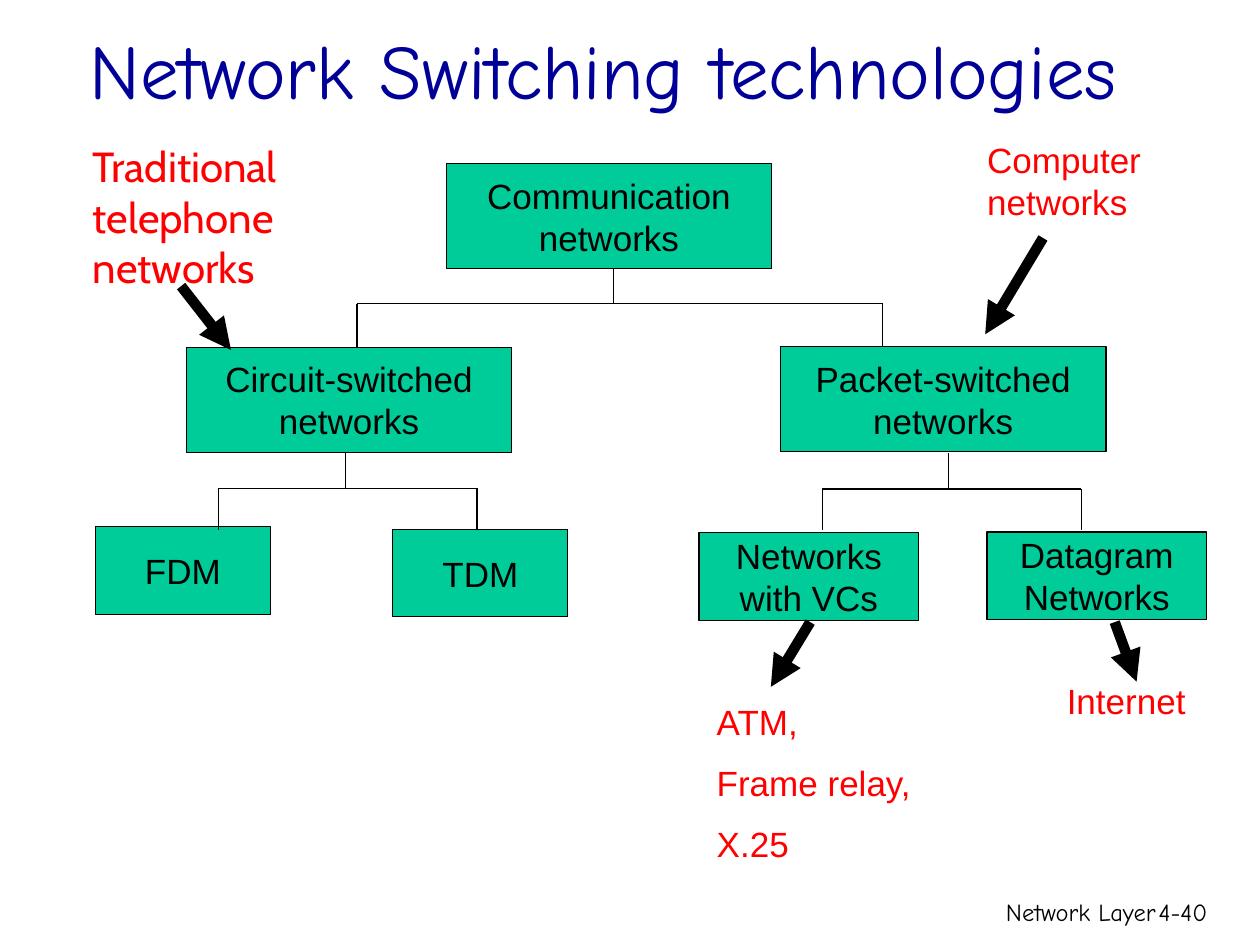
import pptx
import pptx.dml.color
import pptx.enum.shapes
import pptx.enum.text
import pptx.util
from lxml import etree
from pptx.oxml.ns import qn

Pt = pptx.util.Pt
RGBColor = pptx.dml.color.RGBColor
ALIGN = pptx.enum.text.PP_ALIGN
ANCHOR = pptx.enum.text.MSO_ANCHOR

BLACK = RGBColor(0x00, 0x00, 0x00)
NAVY = RGBColor(0x00, 0x00, 0x99)
RED = RGBColor(0xFF, 0x00, 0x00)
GREEN = RGBColor(0x00, 0xCC, 0x99)

BIG_BOX = (186, 60)
SMALL_BOX = (100, 50)
WIDE_BOX = (125.5, 50)


def write_lines(tf, lines, font, size, color, align=ALIGN.LEFT, gap=0):
    """Write one paragraph per line, with a gap between paragraphs."""
    for i, line in enumerate(lines):
        p = tf.paragraphs[0] if i == 0 else tf.add_paragraph()
        p.alignment = align
        if i and gap:
            p.space_before = Pt(gap)
        r = p.add_run()
        r.text = line
        r.font.name = font
        r.font.size = Pt(size)
        r.font.color.rgb = color


def add_text(s, x, y, w, h, lines, font="Arial", size=20, color=RED,
             align=ALIGN.LEFT, anchor=ANCHOR.TOP, gap=0):
    tf = s.shapes.add_textbox(Pt(x), Pt(y), Pt(w), Pt(h)).text_frame
    tf.word_wrap = True
    tf.vertical_anchor = anchor
    write_lines(tf, lines, font, size, color, align, gap)


def add_node(s, x, y, size, *lines):
    w, h = size
    sp = s.shapes.add_shape(pptx.enum.shapes.MSO_SHAPE.RECTANGLE,
                            Pt(x), Pt(y), Pt(w), Pt(h))
    sp.shadow.inherit = False
    sp.fill.solid()
    sp.fill.fore_color.rgb = GREEN
    sp.line.color.rgb = BLACK
    sp.line.width = Pt(0.75)
    tf = sp.text_frame
    tf.word_wrap = False
    tf.vertical_anchor = ANCHOR.MIDDLE
    write_lines(tf, lines, "Arial", 20, BLACK, ALIGN.CENTER)


def add_line(s, x1, y1, x2, y2, width=0.75):
    line = s.shapes.add_connector(pptx.enum.shapes.MSO_CONNECTOR.STRAIGHT,
                                  Pt(x1), Pt(y1), Pt(x2), Pt(y2))
    line.line.color.rgb = BLACK
    line.line.width = Pt(width)
    etree.SubElement(line._element.spPr, qn("a:effectLst"))
    return line


def add_arrow(s, x1, y1, x2, y2):
    line = add_line(s, x1, y1, x2, y2, width=6)
    etree.SubElement(line.line._get_or_add_ln(), qn("a:tailEnd"), type="triangle")


def add_branch(s, stem_x, top, bus_y, left, right, bottom):
    """Join a parent to two children: stem, crossbar and two legs."""
    add_line(s, stem_x, top, stem_x, bus_y)
    add_line(s, left, bus_y, right, bus_y)
    for x in (left, right):
        add_line(s, x, bus_y, x, bottom)


def main():
    prs = pptx.Presentation()
    prs.slide_width, prs.slide_height = Pt(720), Pt(540)
    s = prs.slides.add_slide(prs.slide_layouts[6])

    # Footer and title
    add_text(s, 439, 509, 228.5, 22, ["Network Layer"], "Comic Neue", 14, BLACK,
             ALIGN.RIGHT)
    add_text(s, 655, 509, 53.5, 22, ["4-40"], "Comic Neue", 14, BLACK)
    add_text(s, 44, 0, 676, 78.5, ["Network Switching technologies"],
             "Comic Neue", 44, NAVY, anchor=ANCHOR.MIDDLE)

    # Tree of network types
    add_node(s, 255, 93.5, BIG_BOX, "Communication", "networks")
    add_node(s, 106.5, 198.5, BIG_BOX, "Circuit-switched", "networks")
    add_node(s, 446, 198, BIG_BOX, "Packet-switched", "networks")
    add_node(s, 54.5, 301, SMALL_BOX, "FDM")
    add_node(s, 224.5, 302.5, SMALL_BOX, "TDM")
    add_node(s, 399.5, 304.5, WIDE_BOX, "Networks", "with VCs")
    add_node(s, 564, 304, WIDE_BOX, "Datagram", "Networks")

    # Branches
    add_branch(s, 350.5, 153.5, 173.5, 204, 504.5, 198)
    add_branch(s, 197.5, 258.5, 279, 125, 272.5, 303)
    add_branch(s, 542, 259, 279.5, 470, 618, 303)

    # Red examples and their arrows
    add_text(s, 46, 77, 152, 94, ["Traditional telephone networks"], "Cabin", 24)
    add_arrow(s, 103.5, 163.5, 132, 200)
    add_text(s, 557, 75.5, 113, 55.5, ["Computer networks"])
    add_arrow(s, 596, 136, 563, 191)
    add_text(s, 602.5, 384.5, 87, 31, ["Internet"])
    add_arrow(s, 637, 355.5, 649.5, 389.5)
    add_text(s, 402.5, 396.5, 143.5, 103, ["ATM,", "Frame relay,", "X.25"], gap=11)
    add_arrow(s, 463, 355.5, 440.5, 392.5)

    prs.save("out.pptx")


if __name__ == "__main__":
    main()
